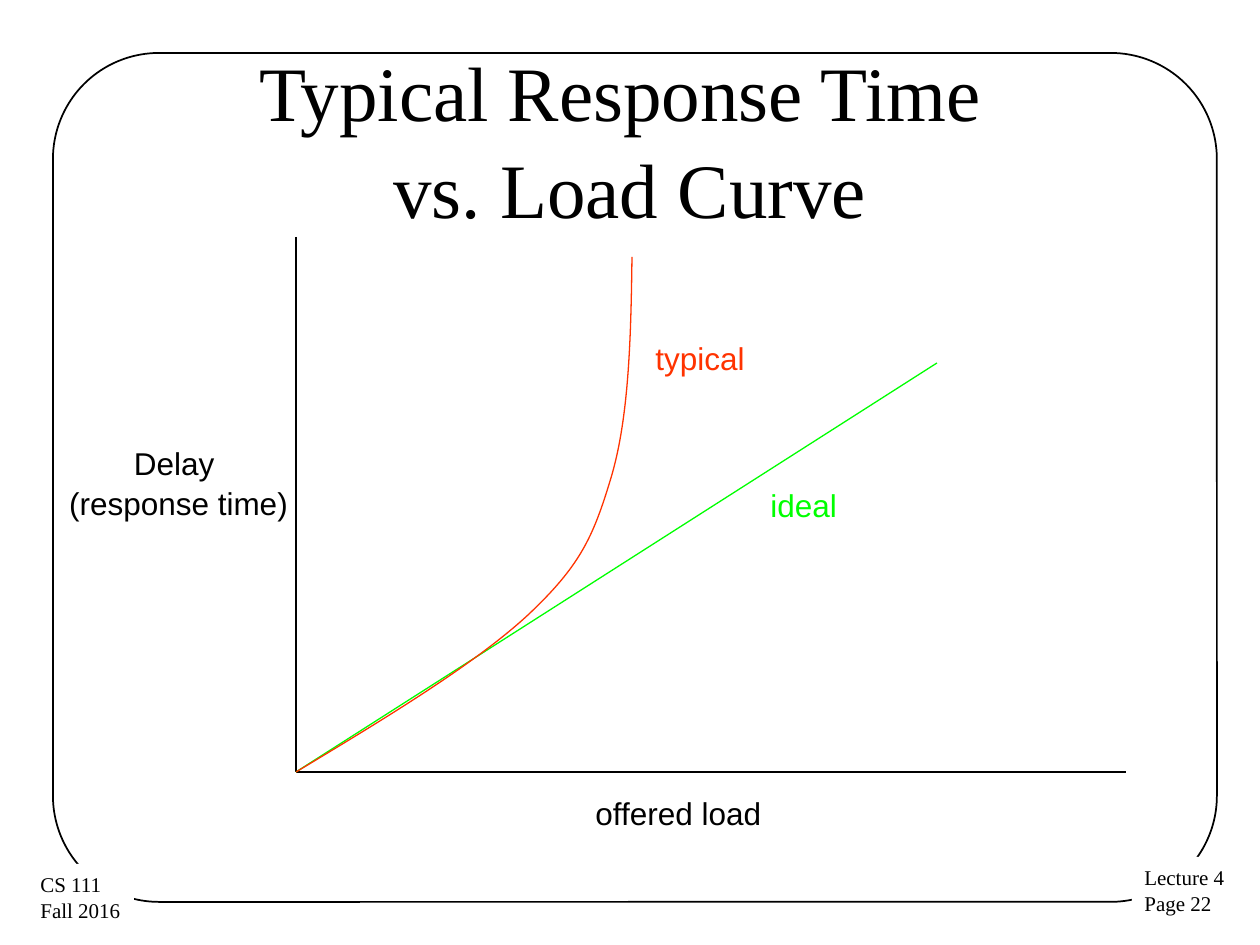
from pptx import Presentation, util as u
from pptx.dml.color import RGBColor
from pptx.enum import shapes as sh, text as tx
from pptx.oxml.ns import qn
from lxml import etree

BLACK = RGBColor(0x00, 0x00, 0x00)
WHITE = RGBColor(0xFF, 0xFF, 0xFF)
GREEN = RGBColor(0x00, 0xFF, 0x00)
RED = RGBColor(0xFF, 0x33, 0x00)
SERIF, SANS = "Times New Roman", "Arial"
SCALE = 914400 // 126  # EMU per pixel
LEAD = 1.05


def px(*vals):
    return [u.Emu(round(v * SCALE)) for v in vals]


class Deck:
    def __init__(self):
        self.prs = Presentation()
        self.prs.slide_width, self.prs.slide_height = u.Inches(10), u.Inches(7.5)
        self.slide = self.prs.slides.add_slide(self.prs.slide_layouts[5])
        self.shapes = self.slide.shapes

    def fill_text(self, frame, lines, font, size, color, align):
        """One paragraph per line; a tuple is one paragraph with line breaks."""
        for i, line in enumerate(lines):
            para = frame.paragraphs[0] if i == 0 else frame.add_paragraph()
            para.alignment, para.line_spacing = align, LEAD
            for j, part in enumerate(line if isinstance(line, tuple) else (line,)):
                if j:
                    para.add_line_break()
                run = para.add_run()
                run.text = part
                run.font.name, run.font.size = font, u.Pt(size)
                run.font.color.rgb = color

    def title(self, box, line):
        hold = self.shapes.title
        hold.left, hold.top, hold.width, hold.height = px(*box)
        frame = hold.text_frame
        frame.auto_size = tx.MSO_AUTO_SIZE.NONE
        frame.vertical_anchor = tx.MSO_ANCHOR.MIDDLE
        self.fill_text(frame, [line], SERIF, 44, BLACK, tx.PP_ALIGN.CENTER)

    def frame(self, box, ratio):
        item = self.shapes.add_shape(sh.MSO_SHAPE.ROUNDED_RECTANGLE, *px(*box))
        item.adjustments[0] = ratio
        item.shadow.inherit = False
        item.fill.background()
        item.line.color.rgb, item.line.width = BLACK, u.Pt(1)

    def label(self, box, lines, color=BLACK, font=SANS, size=18,
              align=tx.PP_ALIGN.LEFT, fill=None):
        item = self.shapes.add_textbox(*px(*box))
        if fill is not None:
            item.fill.solid()
            item.fill.fore_color.rgb = fill
        item.text_frame.word_wrap = False
        self.fill_text(item.text_frame, lines, font, size, color, align)

    def line(self, start, end, color=BLACK):
        item = self.shapes.add_connector(
            sh.MSO_CONNECTOR.STRAIGHT, *px(*start, *end))
        item.line.color.rgb, item.line.width = color, u.Pt(0.75)
        etree.SubElement(item._element.spPr, qn("a:effectLst"))

    def curve(self, start, points, color):
        """Smooth curve: each three points make one cubic segment."""
        form = self.shapes.build_freeform(*start, scale=SCALE)
        form.add_line_segments(points, close=False)
        item = form.convert_to_shape()
        item.shadow.inherit = False
        item.fill.background()
        item.line.color.rgb, item.line.width = color, u.Pt(0.75)
        steps = list(item._element.iter(qn("a:lnTo")))
        for i in range(0, len(steps), 3):
            steps[i].tag = qn("a:cubicBezTo")
            for step in steps[i + 1:i + 3]:
                steps[i].append(step[0])
                step.getparent().remove(step)


deck = Deck()

# Page frame and corner notes
deck.frame((53, 53, 1164, 849), 0.125)
for box, lines in (((1132, 857, 107, 64), ["Lecture 4", "Page 22"]),
                   ((28, 864, 106, 64), ["CS 111", "Fall 2016"])):
    deck.label(box, lines, font=SERIF, size=12, fill=WHITE)

deck.title((63, 58, 1134, 158), ("Typical Response Time ", "vs. Load Curve"))

# Axes
ZERO = (296, 772)
deck.line((296, 237), ZERO)
deck.line(ZERO, (1126, 772))
deck.label((55, 436, 247, 89), ["Delay ", "(response time)"],
           align=tx.PP_ALIGN.CENTER)
deck.label((583, 786, 210, 54), ["offered load"])

# Ideal and typical response
deck.line(ZERO, (937, 363), GREEN)
deck.label((758, 478, 100, 54), ["ideal"], GREEN)
deck.curve(ZERO, [(386, 718), (475, 664), (528, 615),
                  (580, 566), (593, 538), (611, 478),
                  (629, 418), (631, 338), (632, 257)], RED)
deck.label((643, 331, 125, 54), ["typical"], RED)

deck.prs.save("out.pptx")
